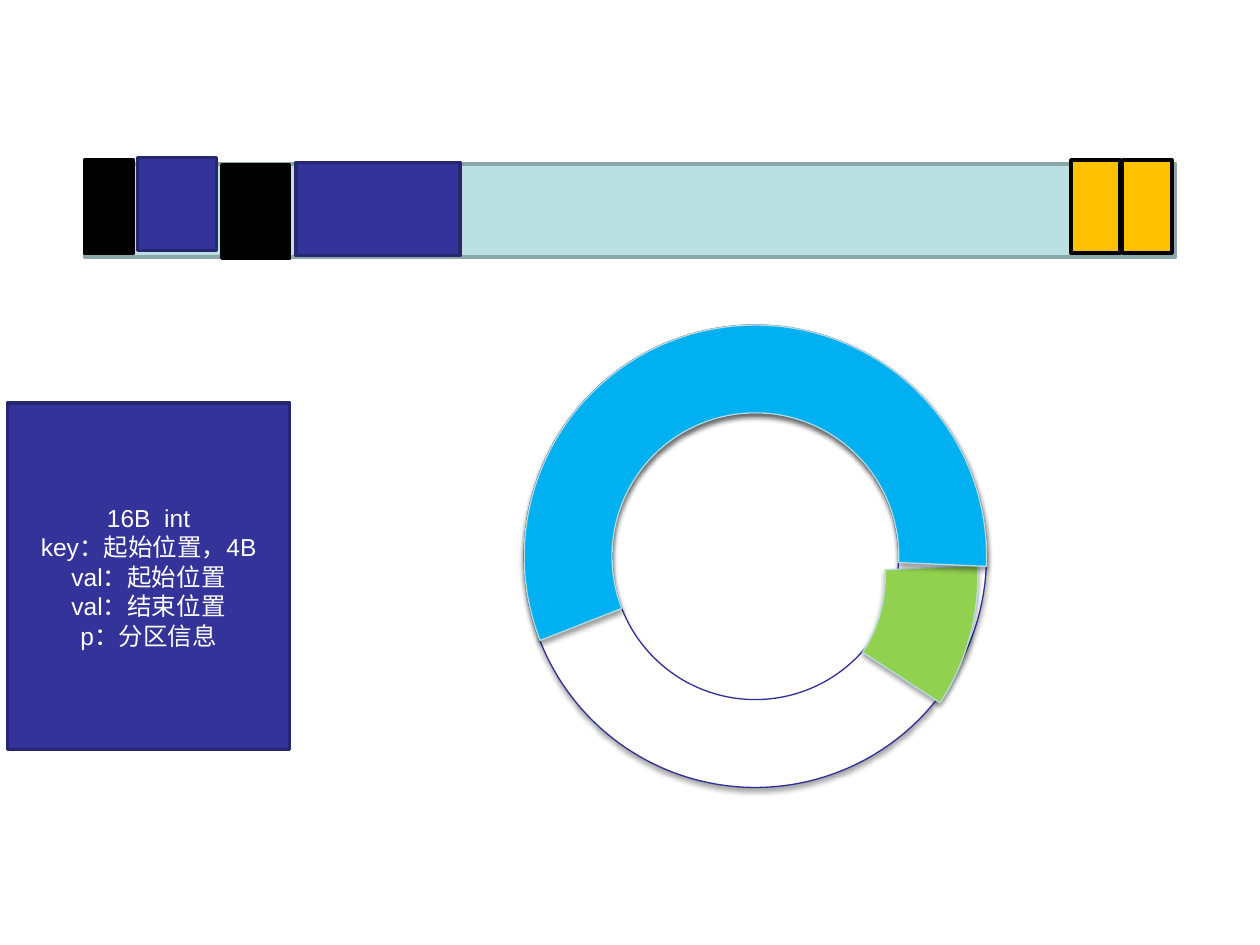
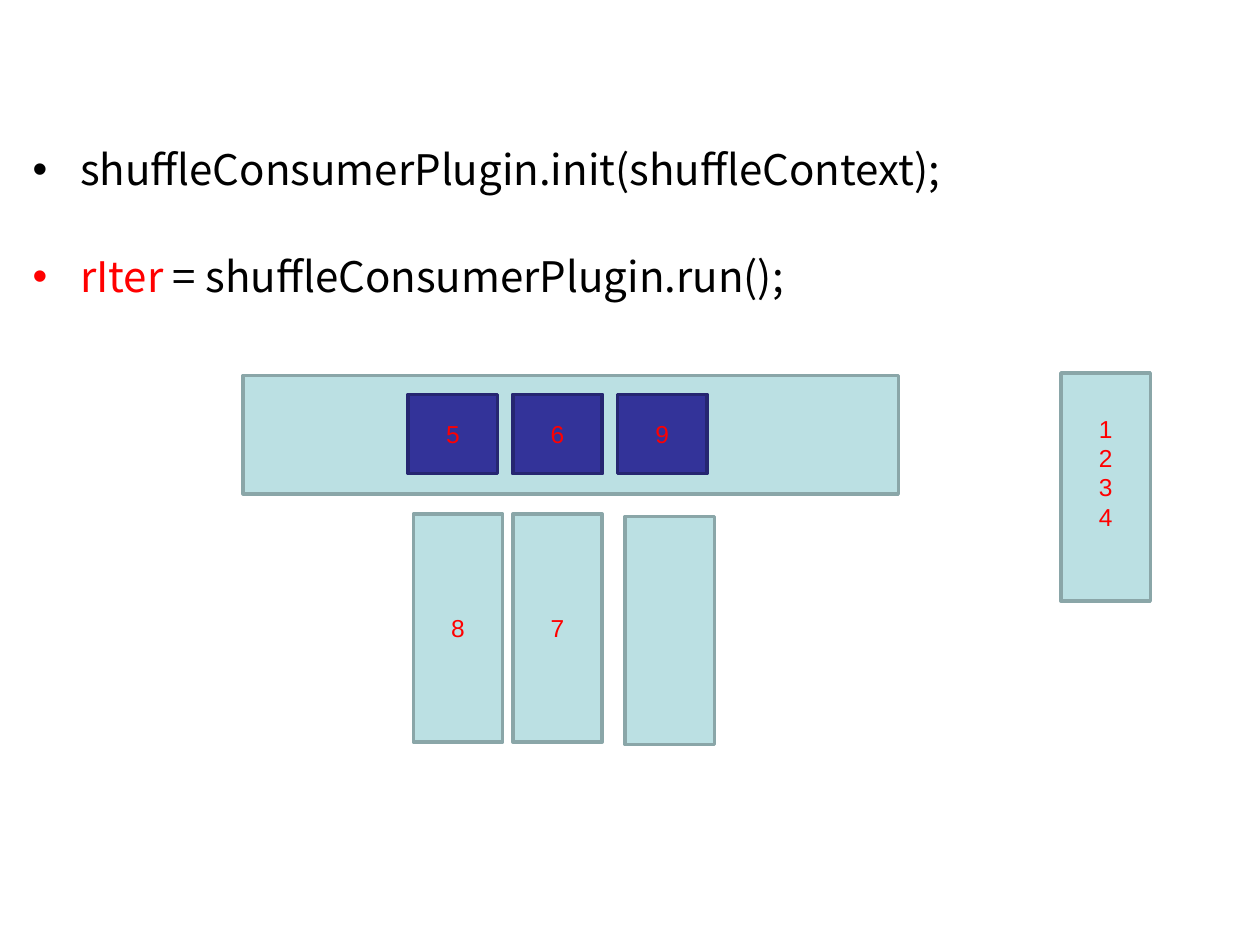
from lxml import etree
from pptx import Presentation
from pptx.dml.color import RGBColor
from pptx.enum.shapes import MSO_SHAPE
from pptx.enum.text import MSO_ANCHOR, MSO_AUTO_SIZE, PP_ALIGN
from pptx.oxml.ns import qn
from pptx.util import Inches, Pt

RECTANGLE = MSO_SHAPE.RECTANGLE
BLOCK_ARC = MSO_SHAPE.BLOCK_ARC
MIDDLE = MSO_ANCHOR.MIDDLE
CENTER = PP_ALIGN.CENTER
NO_AUTOFIT = MSO_AUTO_SIZE.NONE

COLORS = {
    "white": "FFFFFF", "black": "000000", "red": "FF0000",
    "navy": "333399", "navy edge": "262671", "ring edge": "2F2F98",
    "pale": "BBE0E3", "pale edge": "8AA6A8", "arc edge": "B6DCDF",
    "amber": "FFC000", "green": "92D050", "blue": "00B0F0",
}
EDGES = {"navy": "navy edge", "pale": "pale edge", "black": "black", "amber": "black"}
LATIN_FONT = "Arial"
ASIAN_FONT = "Noto Sans CJK SC"


def add_run(paragraph, text, font_name, size, color):
    run = paragraph.add_run()
    run.text = text
    run.font.name = font_name
    run.font.size = Pt(size)
    run.font.color.rgb = RGBColor.from_string(COLORS[color])
    asian = etree.SubElement(run.font._element, qn("a:ea"))
    asian.set("typeface", ASIAN_FONT)


def add_block(slide, kind, box, fill, edge, width, lines=(), text_color="red"):
    shape = slide.shapes.add_shape(kind, *[Inches(length) for length in box])
    shape.shadow.inherit = False
    shape.fill.solid()
    shape.fill.fore_color.rgb = RGBColor.from_string(COLORS[fill])
    shape.line.color.rgb = RGBColor.from_string(COLORS[edge])
    shape.line.width = Pt(width)
    frame = shape.text_frame
    frame.word_wrap = True
    frame.vertical_anchor = MIDDLE
    for index, line in enumerate(lines):
        paragraph = frame.add_paragraph() if index else frame.paragraphs[0]
        paragraph.alignment = CENTER
        add_run(paragraph, line, LATIN_FONT, 14, text_color)
    return shape


presentation = Presentation()
presentation.slide_width = Inches(10)
presentation.slide_height = Inches(7.5)

buffer_slide = presentation.slides.add_slide(presentation.slide_layouts[6])
record_lines = ["16B  int", "key：起始位置，4B", "val：起始位置", "val：结束位置", "p：分区信息"]
arcs = [
    (4.16, 2.58, 0, (0.12, 0, 0.19), "white", "ring edge", 35),
    (4.09, 2.74, 38.3, (191.39, 212.91, 0.2), "green", "arc edge", 38),
    (4.16, 2.58, 55.9, (61.65, 183.96, 0.19), "blue", "arc edge", 38),
]
for left, top, rotation, adjustments, fill, edge, opacity in arcs:
    arc = add_block(buffer_slide, BLOCK_ARC, (left, top, 3.67, 3.67), fill, edge, 0.75)
    arc.rotation = rotation
    for index, value in enumerate(adjustments):
        arc.adjustments[index] = value
    effects = arc._element.spPr.find(qn("a:effectLst"))
    shadow = etree.SubElement(
        effects, qn("a:outerShdw"), blurRad=str(Pt(3.1)), dist=str(Pt(1.8)),
        dir="5400000", rotWithShape="0")
    shadow_color = etree.SubElement(shadow, qn("a:srgbClr"), val=COLORS["black"])
    etree.SubElement(shadow_color, qn("a:alpha"), val=str(opacity * 1000))

add_block(buffer_slide, RECTANGLE, (0.06, 3.2, 2.24, 2.75), "navy", EDGES["navy"], 2,
          record_lines, "white")
segments = [
    (0.67, 1.3, 8.66, "pale"),
    (0.67, 1.27, 0.39, "black"),
    (1.09, 1.25, 0.63, "navy"),
    (1.76, 1.31, 0.54, "black"),
    (2.35, 1.29, 1.3, "navy"),
    (8.5, 1.27, 0.39, "amber"),
    (8.91, 1.27, 0.39, "amber"),
]
for left, top, width, fill in segments:
    add_block(buffer_slide, RECTANGLE, (left, top, width, 0.74), fill, EDGES[fill], 2)

merge_slide = presentation.slides.add_slide(presentation.slide_layouts[1])
title = merge_slide.shapes.title
title._element.getparent().remove(title._element)
body = merge_slide.placeholders[1]
body.left, body.top = Inches(0.16), Inches(1.09)
body.width, body.height = Inches(9.61), Inches(5.55)
body.text_frame.auto_size = NO_AUTOFIT
statements = [
    [("shuffleConsumerPlugin.init(shuffleContext);", "black")],
    [("rIter", "red"), (" = shuffleConsumerPlugin.run();", "black")],
]
for index, statement in enumerate(statements):
    paragraph = body.text_frame.add_paragraph() if index else body.text_frame.paragraphs[0]
    if index:
        paragraph.space_before = Pt(32.5)
    for text, color in statement:
        add_run(paragraph, text, ASIAN_FONT, 24, color)

blocks = [
    (3.28, 4.08, 0.71, 1.81, "pale", "8"),
    (4.07, 4.08, 0.71, 1.81, "pale", "7"),
    (4.96, 4.1, 0.71, 1.81, "pale", ""),
    (1.93, 2.98, 5.2, 0.94, "pale", ""),
]
blocks += [(3.24 + 0.83 * column, 3.13, 0.71, 0.63, "navy", digit)
           for column, digit in enumerate("569")]
for *box, fill, digits in blocks:
    add_block(merge_slide, RECTANGLE, box, fill, EDGES[fill], 2, digits)
number_stack = add_block(merge_slide, RECTANGLE, (8.42, 2.96, 0.71, 1.81), "pale",
                         EDGES["pale"], 2, "1234")
number_stack.text_frame.margin_bottom = Inches(0.28)

presentation.save("out.pptx")
